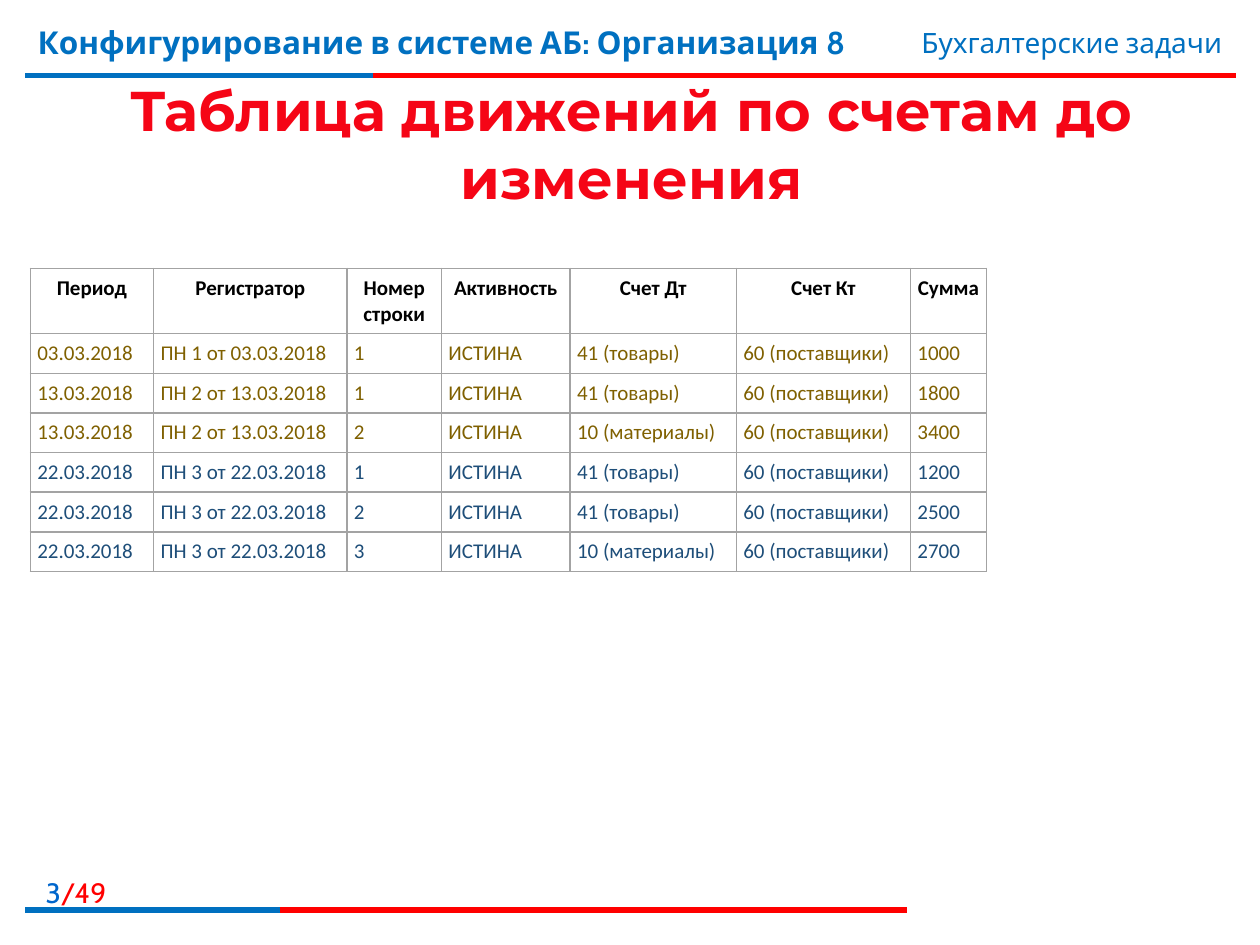
"""Builds the slide with the table of account movements before the change."""
from dataclasses import dataclass
from lxml.etree import SubElement
from pptx import Presentation
from pptx.dml.color import RGBColor
from pptx.enum.shapes import MSO_CONNECTOR
from pptx.enum.text import MSO_ANCHOR, MSO_AUTO_SIZE, PP_ALIGN
from pptx.oxml import parse_xml
from pptx.oxml.ns import nsdecls, qn
from pptx.util import Pt


@dataclass(frozen=True)
class Theme:
    blue: str = "0070C0"
    red: str = "FF0000"
    page: str = "0066CC"
    glow: str = "F50516"
    deep: str = "C00000"
    white: str = "FFFFFF"
    black: str = "000000"
    olive: str = "7F6000"
    navy: str = "1E4E79"
    grid: str = "A3A3A3"
    sans: str = "Cabin"
    head: str = "Montserrat"
    cell: str = "Calibri"
    title: int = 32
    course: int = 18
    small: int = 16
    body: int = 12


THEME = Theme()
TITLE = "Таблица движений по счетам до изменения"
COURSE = "Конфигурирование в системе АБ: Организация 8"
TOPIC = "Бухгалтерские задачи"
PAGE, TOTAL = "3", "/49"
HEADS = ["Период", "Регистратор", "Номер\vстроки", "Активность",
         "Счет Дт", "Счет Кт", "Сумма"]
GOODS, STOCK = "41 (товары)", "10 (материалы)"
ACTIVE, CREDIT = "ИСТИНА", "60 (поставщики)"
DOCS = [
    ("03.03.2018", "ПН 1", THEME.olive, [(GOODS, "1000")]),
    ("13.03.2018", "ПН 2", THEME.olive, [(GOODS, "1800"), (STOCK, "3400")]),
    ("22.03.2018", "ПН 3", THEME.navy,
     [(GOODS, "1200"), (GOODS, "2500"), (STOCK, "2700")]),
]
WIDTHS = [70.5, 110.5, 54, 73.5, 95, 99.5, 43.5]
HEAD_H, ROW_H, INSET = 37.3, 22.65, 4
LEFT = 14.5
RULES = [(43.2, 706.5, 213), (520, 518.5, 160)]


def style(font, face, size, color, bold=False):
    font.name, font.size, font.bold = face, Pt(size), bold
    font.color.rgb = RGBColor.from_string(color)


def rule(slide, top, end, color):
    line = slide.shapes.add_connector(
        MSO_CONNECTOR.STRAIGHT, Pt(LEFT), Pt(top), Pt(end), Pt(top))
    line.line.color.rgb = RGBColor.from_string(color)
    line.line.width = Pt(3)
    SubElement(line._element.spPr, qn("a:effectLst"))


def label(slide, box, parts, size, align=PP_ALIGN.LEFT, bold=False):
    frame = slide.shapes.add_textbox(*map(Pt, box)).text_frame
    frame.word_wrap = True
    para = frame.paragraphs[0]
    para.alignment = align
    for text, color in parts:
        run = para.add_run()
        run.text = text
        style(run.font, THEME.sans, size, color, bold)


def heading(slide):
    shape = slide.shapes.title
    shape.left, shape.top, shape.width, shape.height = map(
        Pt, (15, 45.4, 692, 72.7))
    frame = shape.text_frame
    frame.text = TITLE
    frame.word_wrap = True
    frame.auto_size = MSO_AUTO_SIZE.NONE
    frame.vertical_anchor = MSO_ANCHOR.MIDDLE
    para = frame.paragraphs[0]
    para.alignment = PP_ALIGN.CENTER
    run = para.runs[0]
    style(run.font, THEME.head, THEME.title, THEME.glow, True)
    fill = run.font.fill
    fill.gradient()
    fill.gradient_angle = 270
    stops = ((0.55, THEME.glow), (0.86, THEME.deep))
    for stop, (place, color) in zip(fill.gradient_stops, stops):
        stop.position = place
        stop.color.rgb = RGBColor.from_string(color)
    run.font._element.insert(0, edge("ln", 0.75, THEME.white))


def edge(tag, width, color):
    return parse_xml(
        f'<a:{tag} {nsdecls("a")} w="{Pt(width)}"><a:solidFill>'
        f'<a:srgbClr val="{color}"/></a:solidFill></a:{tag}>')


def put(cell, text, color, align=PP_ALIGN.LEFT, bold=False):
    cell.text_frame.text = text
    cell.margin_left = cell.margin_right = Pt(INSET)
    cell.margin_top = cell.margin_bottom = Pt(INSET)
    para = cell.text_frame.paragraphs[0]
    para.alignment = align
    for run in para.runs:
        style(run.font, THEME.cell, THEME.body, color, bold)
    props = cell._tc.get_or_add_tcPr()
    for tag in ("lnL", "lnR", "lnT", "lnB"):
        props.append(edge(tag, 1, THEME.grid))
    cell.fill.background()


def ledger(slide):
    rows = [((date, f"{doc} от {date}", str(num), ACTIVE, debit, CREDIT, total),
             color)
            for date, doc, color, moves in DOCS
            for num, (debit, total) in enumerate(moves, 1)]
    high = HEAD_H + ROW_H * len(rows)
    table = slide.shapes.add_table(
        len(rows) + 1, len(HEADS), Pt(17.3), Pt(153.4),
        Pt(sum(WIDTHS)), Pt(high)).table
    table.first_row = table.horz_banding = False
    for col, width in zip(table.columns, WIDTHS):
        col.width = Pt(width)
    for num, row in enumerate(table.rows):
        row.height = Pt(ROW_H if num else HEAD_H)
    for col, text in enumerate(HEADS):
        put(table.cell(0, col), text, THEME.black, PP_ALIGN.CENTER, True)
    for num, (texts, color) in enumerate(rows, 1):
        for col, text in enumerate(texts):
            put(table.cell(num, col), text, color)


def main():
    deck = Presentation()
    deck.slide_width, deck.slide_height = Pt(720), Pt(540)
    slide = deck.slides.add_slide(deck.slide_layouts[5])
    for top, end, split in RULES:
        rule(slide, top, end, THEME.red)
        rule(slide, top, split, THEME.blue)
    label(slide, (-7.2, 496.8, 75, 23), [(PAGE, THEME.page), (TOTAL, THEME.red)],
          THEME.small, PP_ALIGN.RIGHT)
    label(slide, (14.4, 9.4, 533, 44.6), [(COURSE, THEME.blue)],
          THEME.course, bold=True)
    label(slide, (427.7, 10.8, 278, 26.6), [(TOPIC, THEME.blue)],
          THEME.small, PP_ALIGN.RIGHT)
    heading(slide)
    ledger(slide)
    deck.save("out.pptx")


if __name__ == "__main__":
    main()
